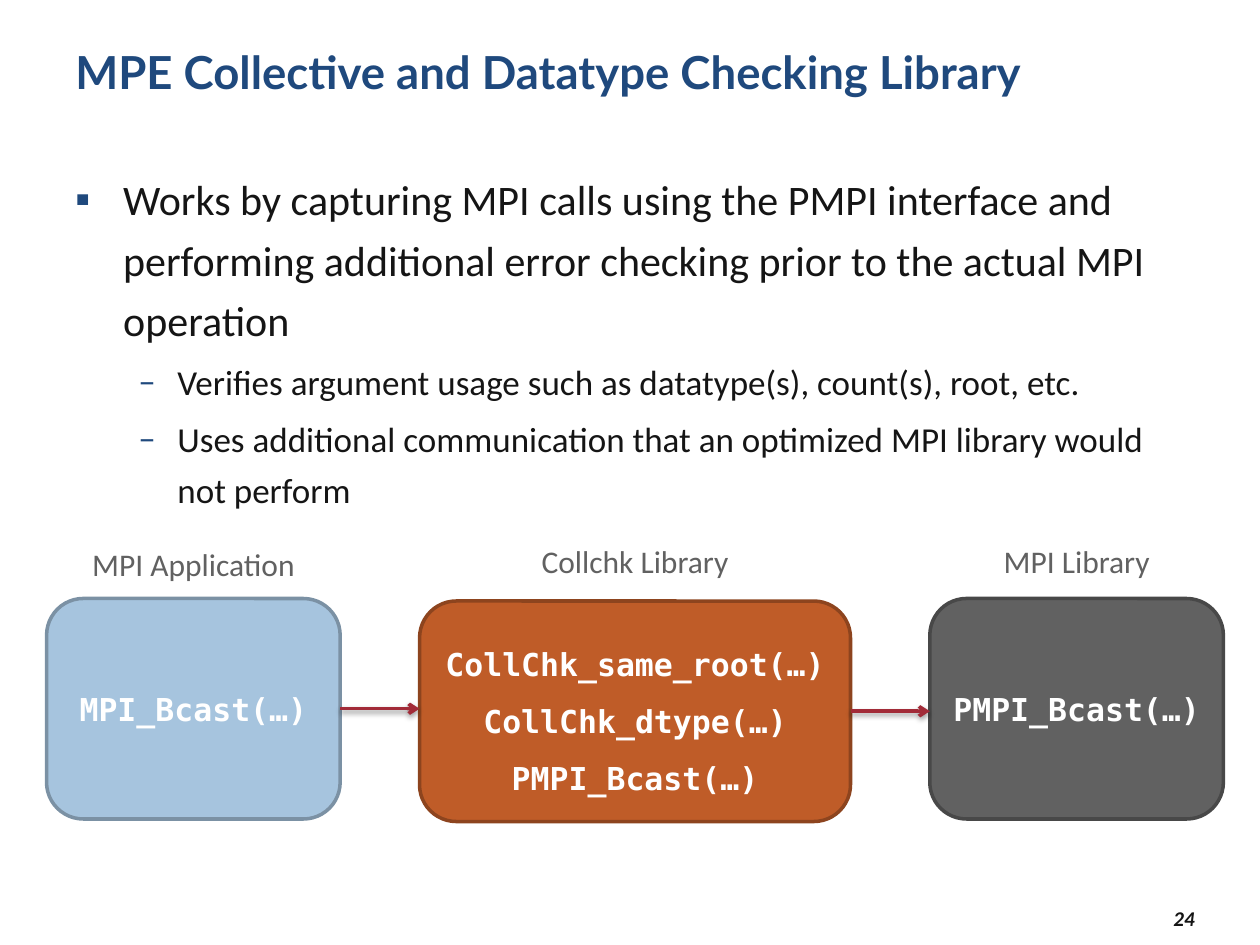
from dataclasses import dataclass

from lxml import etree
from pptx import Presentation
from pptx.dml.color import RGBColor
from pptx.enum import shapes as sh, text as tx
from pptx.oxml import parse_xml
from pptx.oxml.ns import nsdecls, qn
from pptx.util import Inches, Pt

MID, TOP = tx.MSO_ANCHOR.MIDDLE, tx.MSO_ANCHOR.TOP
LEFT, MIDST, RIGHT = tx.PP_ALIGN.LEFT, tx.PP_ALIGN.CENTER, tx.PP_ALIGN.RIGHT


@dataclass(frozen=True)
class Theme:
    navy: str = "1F497D"
    ink: str = "151515"
    gray: str = "616161"
    white: str = "FFFFFF"
    red: str = "A22B38"
    head: str = "Lato"
    sans: str = "Calibri"
    mono: str = "DejaVu Sans Mono"
    big: int = 26
    main: int = 24
    sub: int = 20
    note: int = 18
    foot: int = 12


@dataclass(frozen=True)
class Style:
    name: str
    size: int
    color: str
    bold: bool = False
    italic: bool = False


@dataclass(frozen=True)
class Point:
    words: str
    style: Style
    mark: str
    left: float
    hang: float
    gap: int


@dataclass(frozen=True)
class Stage:
    title: str
    calls: tuple[str, ...]
    left: float
    top: float
    width: float
    label: float
    fill: str
    edge: str
    space: float = 1.0


T = Theme()
HEAD = Style(T.head, T.big, T.navy, bold=True)
MAIN = Style(T.sans, T.main, T.ink)
SUB = Style(T.sans, T.sub, T.ink)
NOTE = Style(T.sans, T.note, T.gray)
CODE = Style(T.mono, T.note, T.white, bold=True)
FOOT = Style(T.sans, T.foot, T.ink, bold=True, italic=True)

TALL, TAG = 1.75, 1.92

POINTS = (
    Point("Works by capturing MPI calls using the PMPI interface and performing "
          "additional error checking prior to the actual MPI operation",
          MAIN, "▪", 0.38, 0.38, 5),
    Point("Verifies argument usage such as datatype(s), count(s), root, etc.",
          SUB, "–", 0.81, 0.31, 4),
    Point("Uses additional communication that an optimized MPI library would "
          "not perform", SUB, "–", 0.81, 0.31, 4),
)

STAGES = (
    Stage("MPI Application", ("MPI_Bcast(…)",),
          0.37, 4.75, 2.33, 4.28, "A6C4DE", "7B91A4"),
    Stage("Collchk Library",
          ("CollChk_same_root(…)", "CollChk_dtype(…)", "PMPI_Bcast(…)"),
          3.33, 4.77, 3.42, 4.25, "BF5C28", "8D441E", 1.5),
    Stage("MPI Library", ("PMPI_Bcast(…)",),
          7.38, 4.75, 2.33, 4.25, T.gray, "484848"),
)


def apply(item, vals: dict) -> None:
    for key, val in vals.items():
        setattr(item, key, val)


def rgb(code: str) -> RGBColor:
    return RGBColor.from_string(code)


def write(para, words: str, style: Style, **form) -> None:
    apply(para, form)
    run = para.add_run()
    run.text = words
    apply(run.font, {"name": style.name, "size": Pt(style.size),
                     "bold": style.bold, "italic": style.italic})
    run.font.color.rgb = rgb(style.color)


def add_box(slide, left: float, top: float, width: float, height: float,
            anchor=TOP):
    box = slide.shapes.add_textbox(*map(Inches, (left, top, width, height)))
    apply(box.text_frame, {"word_wrap": True, "vertical_anchor": anchor})
    return box.text_frame


def add_mark(para, point: Point) -> None:
    props = para._p.get_or_add_pPr()
    props.set("marL", str(Inches(point.left)))
    props.set("indent", str(-Inches(point.hang)))
    tint = etree.SubElement(props, qn("a:buClr"))
    etree.SubElement(tint, qn("a:srgbClr"), val=T.navy)
    etree.SubElement(props, qn("a:buFont"), typeface=T.sans)
    etree.SubElement(props, qn("a:buChar"), char=point.mark)


def add_list(slide, points: tuple[Point, ...]) -> None:
    frame = add_box(slide, 0.5, 1.25, 9, 5.67)
    for num, point in enumerate(points):
        para = frame.add_paragraph() if num else frame.paragraphs[0]
        write(para, point.words, point.style, level=min(num, 1),
              line_spacing=1.2, space_before=Pt(point.gap))
        add_mark(para, point)


def add_stage(slide, stage: Stage) -> None:
    box = slide.shapes.add_shape(
        sh.MSO_SHAPE.ROUNDED_RECTANGLE,
        *map(Inches, (stage.left, stage.top, stage.width, TALL)))
    box.shadow.inherit = False
    box.fill.solid()
    box.fill.fore_color.rgb = rgb(stage.fill)
    box.line.color.rgb = rgb(stage.edge)
    box.line.width = Pt(2)
    frame = box.text_frame
    apply(frame, {"word_wrap": True, "vertical_anchor": MID})
    for num, call in enumerate(stage.calls):
        para = frame.add_paragraph() if num else frame.paragraphs[0]
        write(para, call, CODE, alignment=MIDST, line_spacing=stage.space)
    mid = stage.left + stage.width / 2
    tag = add_box(slide, mid - TAG / 2, stage.label, TAG, 0.4)
    write(tag.paragraphs[0], stage.title, NOTE, alignment=MIDST)


def add_arrow(slide, src: Stage, dst: Stage) -> None:
    level = src.top + TALL / 2
    line = slide.shapes.add_connector(
        sh.MSO_CONNECTOR.STRAIGHT,
        *map(Inches, (src.left + src.width, level, dst.left, level)))
    line.line.color.rgb = rgb(T.red)
    line.line.width = Pt(2)
    etree.SubElement(line.line._get_or_add_ln(), qn("a:tailEnd"), type="arrow")
    line._element.spPr.append(parse_xml(
        f'<a:effectLst {nsdecls("a")}>'
        f'<a:outerShdw blurRad="{Pt(3.1)}" dist="{Pt(1.6)}" dir="5400000" '
        'rotWithShape="0"><a:srgbClr val="000000"><a:alpha val="38000"/>'
        '</a:srgbClr></a:outerShdw></a:effectLst>'))


def main() -> None:
    deck = Presentation()
    apply(deck, {"slide_width": Inches(10), "slide_height": Inches(7.5)})
    slide = deck.slides.add_slide(deck.slide_layouts[6])
    title = add_box(slide, 0.5, 0.3, 9, 0.87)
    write(title.paragraphs[0], "MPE Collective and Datatype Checking Library",
          HEAD, alignment=LEFT)
    add_list(slide, POINTS)
    page = add_box(slide, 8.5, 7.15, 1.08, 0.27, MID)
    write(page.paragraphs[0], "24", FOOT, alignment=RIGHT)
    for stage in STAGES:
        add_stage(slide, stage)
    for src, dst in zip(STAGES, STAGES[1:]):
        add_arrow(slide, src, dst)
    deck.save("out.pptx")


if __name__ == "__main__":
    main()
